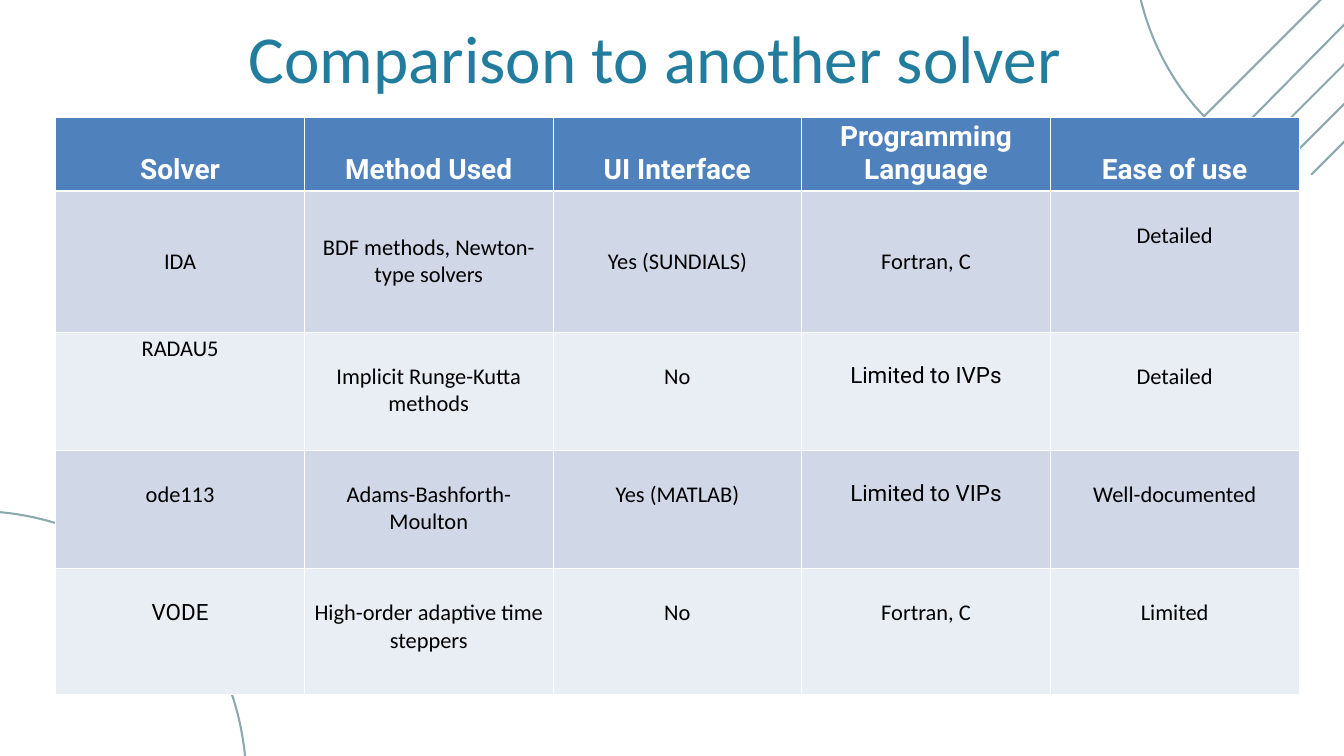
from pptx import Presentation
from pptx.dml.color import RGBColor
from pptx.enum.text import MSO_ANCHOR, MSO_AUTO_SIZE, PP_ALIGN
from pptx.enum.shapes import MSO_CONNECTOR
from pptx.oxml import parse_xml
from pptx.oxml.ns import nsdecls, qn
from pptx.util import Inches, Pt
from lxml.etree import SubElement

WHITE = RGBColor(0xFF, 0xFF, 0xFF)
BLACK = RGBColor(0x00, 0x00, 0x00)
TEAL = RGBColor(0x22, 0x7C, 0x9D)
SAGE = RGBColor(0x8C, 0xA9, 0xAD)
HEADER_BLUE = RGBColor(0x4F, 0x81, 0xBD)
BANDS = (RGBColor(0xD0, 0xD8, 0xE8), RGBColor(0xE9, 0xED, 0xF4))

GRID_COLUMNS, GRID_ROWS = 20, 11.25
BODY_FONT, ACCENT_FONT = "Calibri", "Roboto"
PADDING, HEADER_GAP, BODY_GAP = 0.05, 0.49, 0.41

HALF_DOME = (
    (0, -1.95), (0.46, -1.95), (0.93, -1.86), (1.34, -1.72),
    (2.9, -1.16), (4.03, 0.34), (4.06, 1.95),
)
STRIPES = (
    (18.35, 2.04, 23.96, -3.64),
    (18.69, 2.27, 24.2, -3.24),
    (19.08, 2.47, 24.41, -2.86),
    (19.51, 2.6, 24.64, -2.53),
)
SOLVERS = (
    ("Solver", "Method Used", "UI Interface", "Programming Language", "Ease of use"),
    ("IDA", "BDF methods, Newton-type solvers", "Yes (SUNDIALS)", "Fortran, C", "Detailed"),
    ("RADAU5", "Implicit Runge-Kutta methods", "No", "Limited to IVPs", "Detailed"),
    ("ode113", "Adams-Bashforth-Moulton", "Yes (MATLAB)", "Limited to VIPs", "Well-documented"),
    ("VODE", "High-order adaptive time steppers", "No", "Fortran, C", "Limited"),
)
ROW_HEIGHTS = (1.1, 2.1, 1.76, 1.76, 1.87)
ACCENTED = ("Limited to IVPs", "Limited to VIPs", "VODE")
TOP_TEXTS = ("Programming Language", "RADAU5")


class SlideBuilder:
    """Hold the style and the current slide, measured in grid columns and rows."""

    def __init__(self, deck):
        """Add a blank slide and work out the grid."""
        self.slide = deck.slides.add_slide(deck.slide_layouts[6])
        self.column = deck.slide_width / GRID_COLUMNS
        self.row = deck.slide_height / GRID_ROWS

    def place(self, x, y):
        """Turn grid columns and rows into slide lengths."""
        return round(x * self.column), round(y * self.row)

    def style(self, para, font, size, color, bold=False):
        """Centre a paragraph and format its runs."""
        para.alignment = PP_ALIGN.CENTER
        for span in para.runs:
            span.font.name = font
            span.font.size = Pt(size)
            span.font.bold = bold
            span.font.color.rgb = color

    def smooth(self, shape):
        """Turn each three line segments of an outline into one cubic curve."""
        segments = list(shape._element.iter(qn("a:lnTo")))
        for first in range(0, len(segments), 3):
            curve = parse_xml(f"<a:cubicBezTo {nsdecls('a')}/>")
            segments[first].addprevious(curve)
            for segment in segments[first:first + 3]:
                curve.append(segment[0])
                segment.getparent().remove(segment)

    def dome(self, x, y, rotation):
        """Draw a dome outline around a centre."""
        left = tuple((-px, py) for px, py in reversed(HALF_DOME[1:]))
        points = [self.place(x + px, y + py) for px, py in left + HALF_DOME]
        builder = self.slide.shapes.build_freeform(*points[0], scale=1.0)
        builder.add_line_segments(points[1:], close=True)
        shape = builder.convert_to_shape()
        self.smooth(shape)
        shape.rotation = rotation
        shape.shadow.inherit = False
        shape.fill.background()
        shape.line.color.rgb = SAGE
        shape.line.width = Pt(2.25)

    def stripe(self, x1, y1, x2, y2):
        """Draw a straight decorative line."""
        line = self.slide.shapes.add_connector(
            MSO_CONNECTOR.STRAIGHT, *self.place(x1, y1), *self.place(x2, y2)
        )
        line.line.color.rgb = SAGE
        line.line.width = Pt(2.25)
        line._element.spPr.append(parse_xml(f"<a:effectLst {nsdecls('a')}/>"))

    def title(self, text, x, y, width, height):
        """Add the slide title."""
        box = self.slide.shapes.add_textbox(*self.place(x, y), *self.place(width, height))
        frame = box.text_frame
        frame.word_wrap = True
        frame.auto_size = MSO_AUTO_SIZE.SHAPE_TO_FIT_TEXT
        frame.margin_left = frame.margin_right = frame.margin_top = frame.margin_bottom = 0
        frame.text = text
        para = frame.paragraphs[0]
        para.line_spacing = Pt(100)
        self.style(para, BODY_FONT, 72, TEAL)

    def borders(self, cell, **widths):
        """Give a cell white borders of the given widths in points."""
        properties = cell._tc.get_or_add_tcPr()
        for side, width in widths.items():
            line = SubElement(properties, qn(f"a:ln{side}"), w=str(Pt(width)))
            fill = SubElement(line, qn("a:solidFill"))
            SubElement(fill, qn("a:srgbClr"), val=str(WHITE))

    def cell(self, cell, text, row, column):
        """Fill and format one table cell."""
        header = row == 0
        self.borders(cell, L=1, R=1, T=1, B=3 if header else 1)
        cell.fill.solid()
        cell.fill.fore_color.rgb = HEADER_BLUE if header else BANDS[(row - 1) % 2]
        cell.text = text
        cell.margin_top = cell.margin_bottom = Inches(PADDING)
        if row == 1 and column < 4:
            cell.vertical_anchor = MSO_ANCHOR.MIDDLE
        elif text not in TOP_TEXTS:
            cell.margin_top = Inches(PADDING + (HEADER_GAP if header else BODY_GAP))
        para = cell.text_frame.paragraphs[0]
        if header:
            self.style(para, ACCENT_FONT, 30, WHITE, bold=True)
        else:
            self.style(para, ACCENT_FONT if text in ACCENTED else BODY_FONT, 24, BLACK)

    def table(self, rows, heights, x, y, width):
        """Add a table with equal columns."""
        count = len(rows[0])
        table = self.slide.shapes.add_table(
            len(rows), count, *self.place(x, y), *self.place(width, sum(heights))
        ).table
        for column in table.columns:
            column.width = self.place(width / count, 0)[0]
        for index, (texts, height) in enumerate(zip(rows, heights)):
            table.rows[index].height = self.place(0, height)[1]
            for column, text in enumerate(texts):
                self.cell(table.cell(index, column), text, index, column)


def main():
    """Build and save the slide."""
    deck = Presentation()
    deck.slide_width, deck.slide_height = Inches(20), Inches(11.25)
    page = SlideBuilder(deck)
    page.dome(1.11, 10.16, 45)
    page.dome(19.41, -2.52, 315)
    for stripe in STRIPES:
        page.stripe(*stripe)
    page.table(SOLVERS, ROW_HEIGHTS, 0.83, 1.74, 18.5)
    page.title("Comparison to another solver", 2.72, 0.05, 14.05, 1.24)
    deck.save("out.pptx")


if __name__ == "__main__":
    main()
